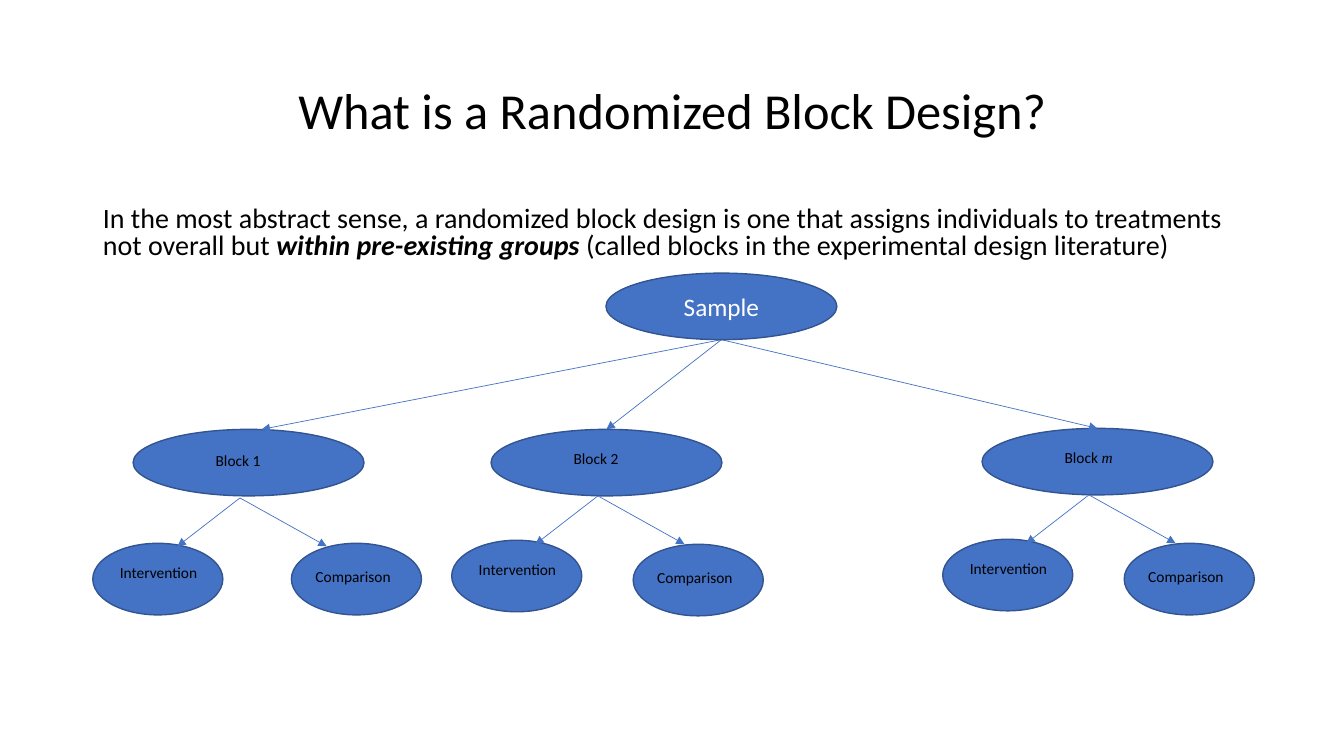
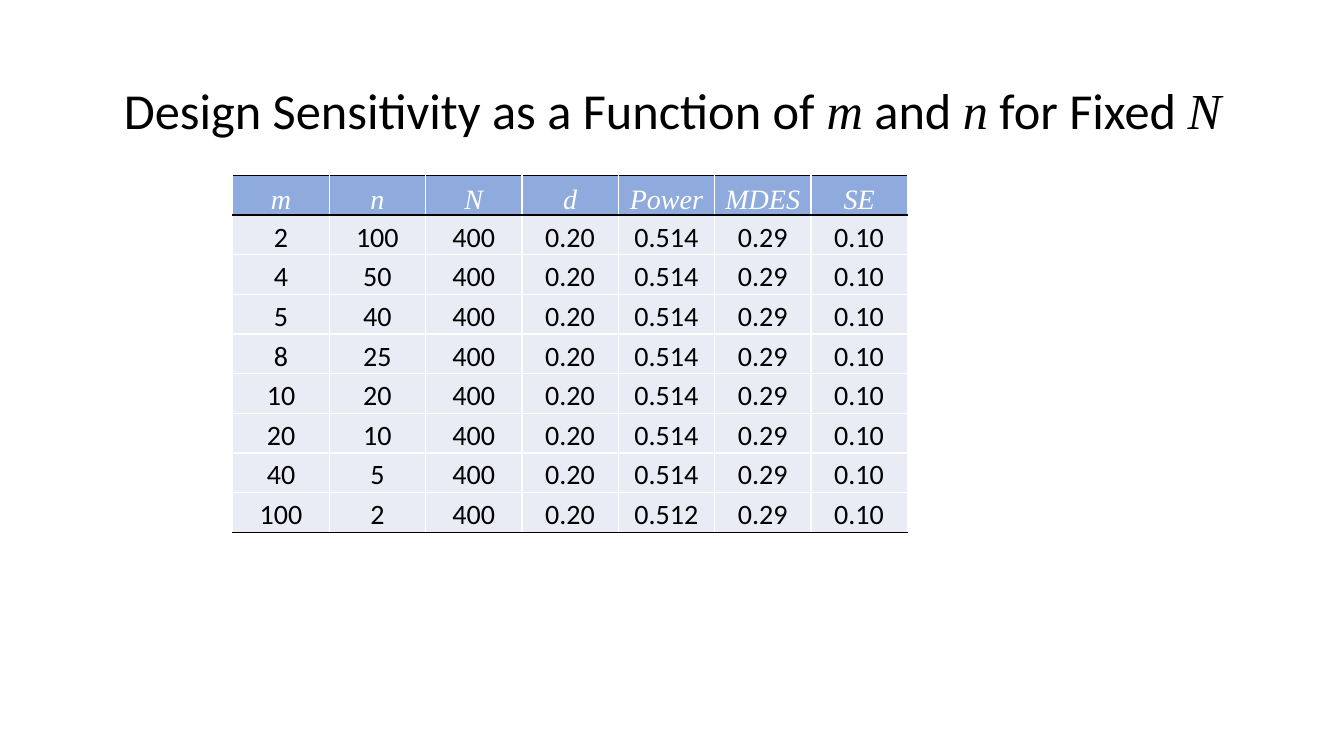
import dataclasses
import typing

import lxml.etree
import pptx
import pptx.dml.color
import pptx.enum.shapes
import pptx.enum.text
import pptx.oxml.ns
import pptx.util

Inches = pptx.util.Inches
Align = pptx.enum.text.PP_ALIGN
Anchor = pptx.enum.text.MSO_ANCHOR
qn = pptx.oxml.ns.qn

# Shared look
BLACK, WHITE = "000000", "FFFFFF"
BLUE, EDGE = "4472C4", "325491"
HEAD, BAND = "8FAADC", "E9EBF5"
SANS, SERIF = "Calibri", "Times New Roman"
MATH = {"name": SERIF, "italic": True}
TITLE = {"size": pptx.util.Pt(36)}
BODY = {"size": pptx.util.Pt(20)}
LABEL = {"size": pptx.util.Pt(11)}
ROOT = {"size": pptx.util.Pt(18)}

Run = tuple[str, dict[str, typing.Any]]
Point = tuple[float, float]


@dataclasses.dataclass
class Block:
    name: list[Run]
    at: Point
    left: Point
    right: Point
    drop: float = 0  # extra depth of the arms and the name
    shift: float = 0  # arrow tip, right of the top centre


BLOCKS = [
    Block([("Block 1", {})], (1.32, 4.26), (0.92, 5.39), (2.89, 5.39), 0.02, 0.13),
    Block([("Block 2", {})], (4.87, 4.26), (4.48, 5.36), (6.28, 5.4)),
    Block([("Block ", {}), ("m", MATH)], (9.74, 4.25), (9.35, 5.35), (11.15, 5.39)),
]
BIG, SMALL = (2.29, 0.66), (1.29, 0.71)
TOP = (6.01, 2.71)

HEADS = ["m", "n", "N", "d", "Power", "MDES", "SE"]
PAIRS = [(2, 100), (4, 50), (5, 40), (8, 25), (10, 20), (20, 10), (40, 5), (100, 2)]


def tint(code: str) -> pptx.dml.color.RGBColor:
    return pptx.dml.color.RGBColor.from_string(code)


def paint(item: typing.Any, code: str) -> None:
    item.fill.solid()
    item.fill.fore_color.rgb = tint(code)


def write(para: typing.Any, runs: list[Run], base: dict, code: str = BLACK) -> None:
    for text, extra in runs:
        run = para.add_run()
        run.text = text
        for key, value in ({"name": SANS} | base | extra).items():
            setattr(run.font, key, value)
        run.font.color.rgb = tint(code)


def place(shape: typing.Any, left: float, top: float, width: float, height: float) -> None:
    box = {"left": left, "top": top, "width": width, "height": height}
    for key, value in box.items():
        setattr(shape, key, Inches(value))


def title(slide: typing.Any, runs: list[Run]) -> None:
    shape = slide.shapes.title
    place(shape, 0.92, 0.4, 11.5, 1.45)
    shape.text_frame.vertical_anchor = Anchor.MIDDLE
    para = shape.text_frame.paragraphs[0]
    para.alignment, para.line_spacing = Align.CENTER, 0.9
    write(para, runs, TITLE)


def body(slide: typing.Any, runs: list[Run]) -> None:
    shape = slide.placeholders[1]
    place(shape, 0.92, 2, 11.5, 0.66)
    shape.text_frame.auto_size = pptx.enum.text.MSO_AUTO_SIZE.NONE
    para = shape.text_frame.paragraphs[0]
    para.line_spacing, para.space_before = 0.8, pptx.util.Pt(0)
    props = para._p.get_or_add_pPr()
    props.set("marL", "0")
    props.set("indent", "0")
    lxml.etree.SubElement(props, qn("a:buNone"))
    write(para, runs, BODY)


def oval(slide: typing.Any, at: Point, size: Point) -> typing.Any:
    kind = pptx.enum.shapes.MSO_SHAPE.OVAL
    shape = slide.shapes.add_shape(kind, *map(Inches, at + size))
    shape.shadow.inherit = False
    paint(shape, BLUE)
    shape.line.color.rgb = tint(EDGE)
    shape.line.width = pptx.util.Pt(1)
    return shape


def label(slide: typing.Any, at: Point, runs: list[Run]) -> None:
    box = slide.shapes.add_textbox(*map(Inches, at + (1.2, 0.34)))
    box.text_frame.word_wrap = True
    write(box.text_frame.paragraphs[0], runs, LABEL)


def arrow(slide: typing.Any, start: Point, end: Point) -> typing.Any:
    kind = pptx.enum.shapes.MSO_CONNECTOR.STRAIGHT
    line = slide.shapes.add_connector(kind, *map(Inches, start + end))
    line.line.color.rgb = tint(BLUE)
    line.line.width = pptx.util.Pt(0.5)
    props = line._element.spPr
    lxml.etree.SubElement(props.find(qn("a:ln")), qn("a:tailEnd"), type="triangle")
    lxml.etree.SubElement(props, qn("a:effectLst"))
    return line


def branch(slide: typing.Any, block: Block) -> None:
    """Draw a block, its two arms and the arrow that reaches it."""
    x, y = block.at
    node = oval(slide, block.at, BIG)
    label(slide, (x + 0.72, y + 0.15 + block.drop), block.name)
    arms = [
        ("Intervention", block.left, 0.17, 0.15, 0.44),
        ("Comparison", block.right, 0.14, 0.19, 1.92),
    ]
    for text, at, right, down, tip in arms:
        oval(slide, at, SMALL)
        label(slide, (at[0] + right, at[1] + down), [(text, {})])
        deep = y + block.drop
        arrow(slide, (x + 1.06, deep + 0.66), (x + tip, deep + 1.14))
    start = (TOP[0] + BIG[0] / 2, TOP[1] + BIG[1])
    line = arrow(slide, start, (x + BIG[0] / 2 + block.shift, y))
    if not block.shift:
        line.end_connect(node, 0)


def border(cell: typing.Any, sides: dict[str, str]) -> None:
    props = cell._tc.get_or_add_tcPr()
    for spot, (side, code) in enumerate(sides.items()):
        line = lxml.etree.Element(qn(f"a:ln{side}"), w="12700")
        fill = lxml.etree.SubElement(line, qn("a:solidFill"))
        lxml.etree.SubElement(fill, qn("a:srgbClr"), val=code)
        props.insert(spot, line)


def grid(slide: typing.Any, rows: list[list[str]]) -> None:
    spot = map(Inches, (2.31, 1.74, 6.69, 3.54))
    table = slide.shapes.add_table(len(rows), len(rows[0]), *spot).table
    table.first_row = table.horz_banding = False
    last = len(rows) - 1
    form = {
        "margin_left": Inches(0.01),
        "margin_right": Inches(0.01),
        "margin_top": Inches(0.01),
        "margin_bottom": 0,
        "vertical_anchor": Anchor.BOTTOM,
    }
    for r, row in enumerate(rows):
        head = r == 0
        sides = {
            "L": WHITE,
            "R": WHITE,
            "T": BLACK if r < 2 else WHITE,
            "B": BLACK if r in (0, last) else WHITE,
        }
        for c, text in enumerate(row):
            cell = table.cell(r, c)
            for key, value in form.items():
                setattr(cell, key, value)
            paint(cell, HEAD if head else BAND)
            border(cell, sides)
            para = cell.text_frame.paragraphs[0]
            para.alignment = Align.CENTER
            write(para, [(text, MATH if head else {})], BODY, WHITE if head else BLACK)


def design(deck: typing.Any) -> None:
    slide = deck.slides.add_slide(deck.slide_layouts[1])
    title(slide, [("What is a Randomized Block Design?", {})])
    body(slide, [
        ("In the most abstract sense, a randomized block design is one that "
         "assigns individuals to treatments not overall but ", {}),
        ("within pre-existing groups", {"bold": True, "italic": True}),
        (" (called blocks in the experimental design literature)", {}),
    ])
    for block in BLOCKS:
        branch(slide, block)
    root = oval(slide, TOP, BIG)
    root.text_frame.vertical_anchor = Anchor.MIDDLE
    para = root.text_frame.paragraphs[0]
    para.alignment = Align.CENTER
    write(para, [("Sample", {})], ROOT, WHITE)


def power(deck: typing.Any) -> None:
    slide = deck.slides.add_slide(deck.slide_layouts[5])
    title(slide, [
        ("Design Sensitivity as a Function of ", {}), ("m", MATH),
        (" and ", {}), ("n", MATH), (" for Fixed ", {}), ("N", MATH),
    ])
    rows = [HEADS]
    for m, n in PAIRS:
        force = "0.512" if m == 100 else "0.514"
        rows.append([str(m), str(n), "400", "0.20", force, "0.29", "0.10"])
    grid(slide, rows)


def main() -> None:
    deck = pptx.Presentation()
    deck.slide_width, deck.slide_height = Inches(13.33), Inches(7.5)
    design(deck)
    power(deck)
    deck.save("out.pptx")


if __name__ == "__main__":
    main()
